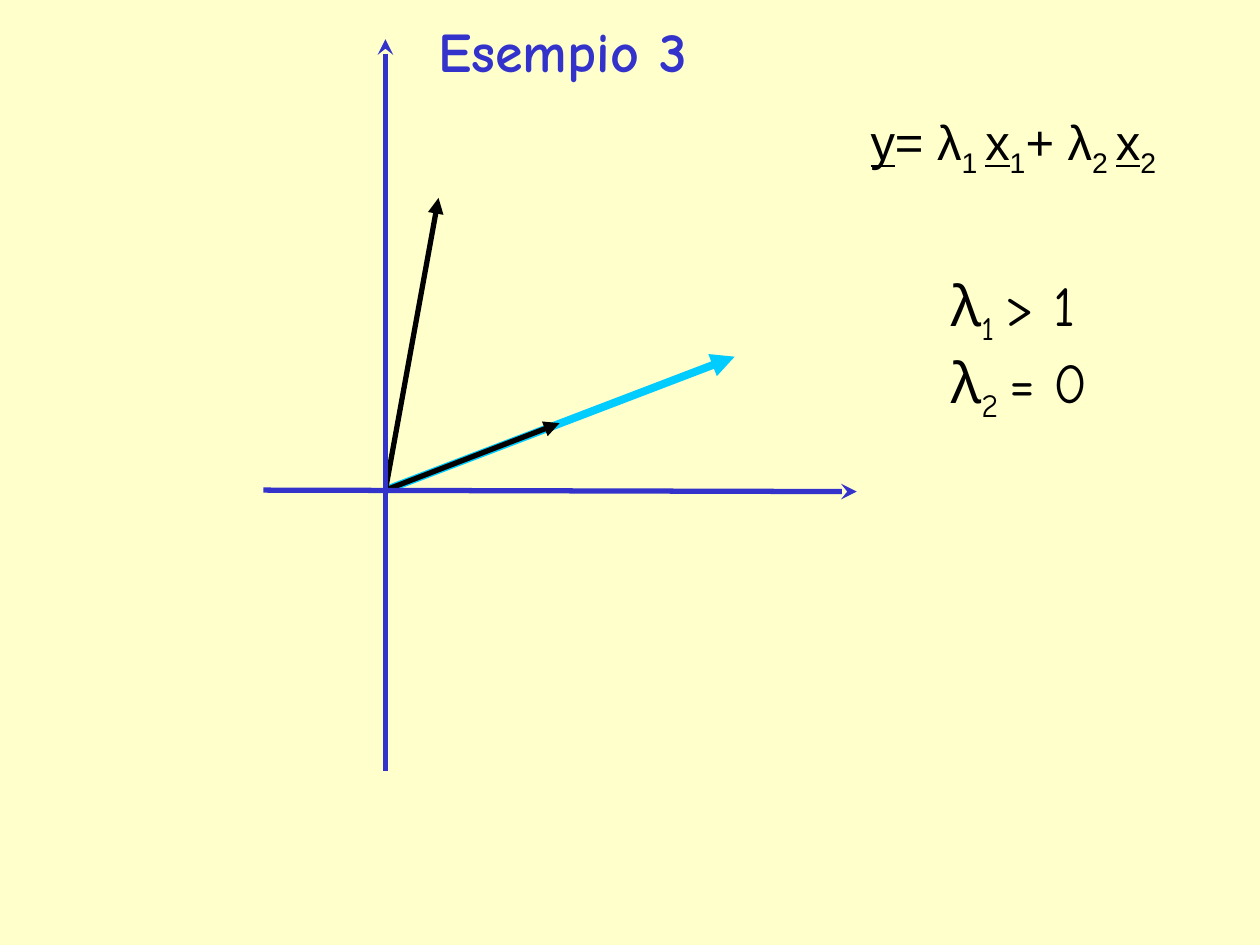
from lxml import etree
from pptx import Presentation
from pptx import util as u
from pptx.dml.color import RGBColor
from pptx.enum import shapes, text
from pptx.oxml.ns import qn

CREAM = RGBColor(0xFF, 0xFF, 0xCC)
BLACK = RGBColor(0, 0, 0)
BLUE = RGBColor(0x33, 0x33, 0xCC)
CYAN = RGBColor(0, 0xCC, 0xFF)

ORIGIN = (7.77, 9.88)


def add_arrow(slide, start, end, color, width=3, head="triangle"):
    ends = [u.Cm(n) for n in (*start, *end)]
    arrow = slide.shapes.add_connector(shapes.MSO_CONNECTOR.STRAIGHT, *ends)
    arrow.line.color.rgb = color
    arrow.line.width = u.Pt(width)
    etree.SubElement(arrow.line._get_or_add_ln(), qn("a:tailEnd"), type=head)
    etree.SubElement(arrow._element.spPr, qn("a:effectLst"))


def add_text(slide, box, lines, font="Comic Neue", size=32, color=BLACK,
             bold=False, wrap=True, space=1.0, anchor=text.MSO_ANCHOR.TOP,
             fit=text.MSO_AUTO_SIZE.SHAPE_TO_FIT_TEXT):
    frame = slide.shapes.add_textbox(*[u.Cm(n) for n in box]).text_frame
    frame.word_wrap = wrap
    frame.auto_size = fit
    frame.vertical_anchor = anchor
    for i, line in enumerate(lines):
        para = frame.add_paragraph() if i else frame.paragraphs[0]
        para.line_spacing = space
        for words, mark in line:
            run = para.add_run()
            run.text = words
            run.font.name = font
            run.font.size = u.Pt(size)
            run.font.color.rgb = color
            run.font.bold = bold
            if mark == "under":
                run.font.underline = True
            elif mark == "sub":
                run.font._element.set("baseline", "-25000")


def main():
    deck = Presentation()
    deck.slide_width, deck.slide_height = u.Cm(25.4), u.Cm(19.05)
    slide = deck.slides.add_slide(deck.slide_layouts[6])
    fill = slide.background.fill
    fill.solid()
    fill.fore_color.rgb = CREAM

    add_arrow(slide, ORIGIN, (14.81, 7.19), CYAN, width=4.5)
    add_arrow(slide, ORIGIN, (11.28, 8.53), BLACK)
    add_arrow(slide, ORIGIN, (8.84, 3.99), BLACK)

    add_text(slide, (18.92, 5.33, 3.48, 2.97), [
        [("λ", ""), ("1 ", "sub"), ("> 1", "")],
        [("λ", ""), ("2 ", "sub"), ("= 0", "")],
    ])
    add_text(slide, (8.59, 0, 6.45, 2.21), [[("Esempio 3", "")]],
             color=BLUE, bold=True, space=0.9,
             anchor=text.MSO_ANCHOR.MIDDLE, fit=text.MSO_AUTO_SIZE.NONE)

    add_arrow(slide, (7.77, 15.54), (7.77, 0.79), BLUE, head="stealth")
    add_arrow(slide, (5.31, 9.88), (17.27, 9.91), BLUE, head="stealth")

    add_text(slide, (17.3, 2.13, 6.65, 1.45), [[
        ("y", "under"), ("= λ", ""), ("1 ", "sub"), ("x", "under"),
        ("1", "sub"), ("+ λ", ""), ("2 ", "sub"), ("x", "under"),
        ("2", "sub"),
    ]], font="Arial", size=28, wrap=False)

    deck.save("out.pptx")


if __name__ == "__main__":
    main()
